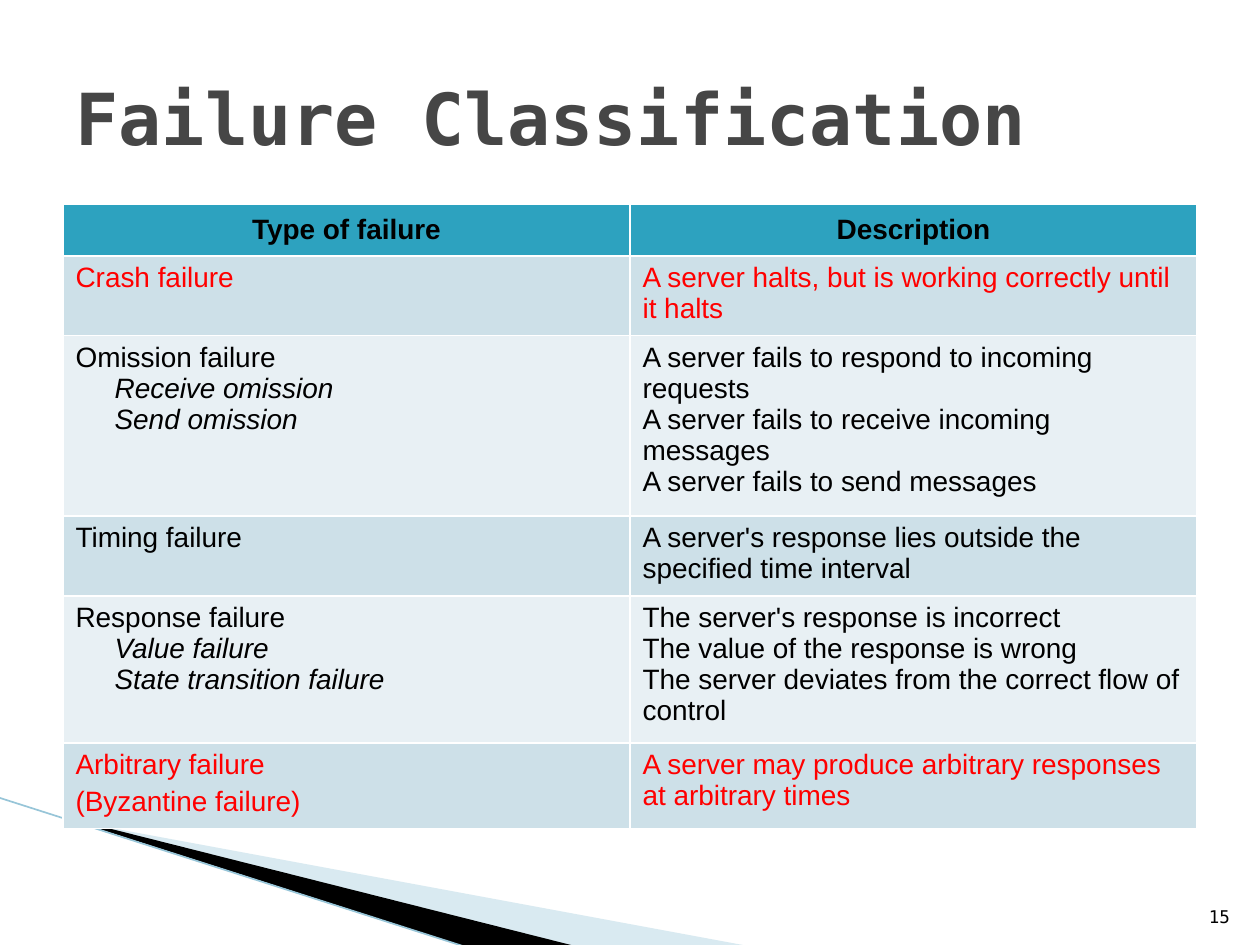
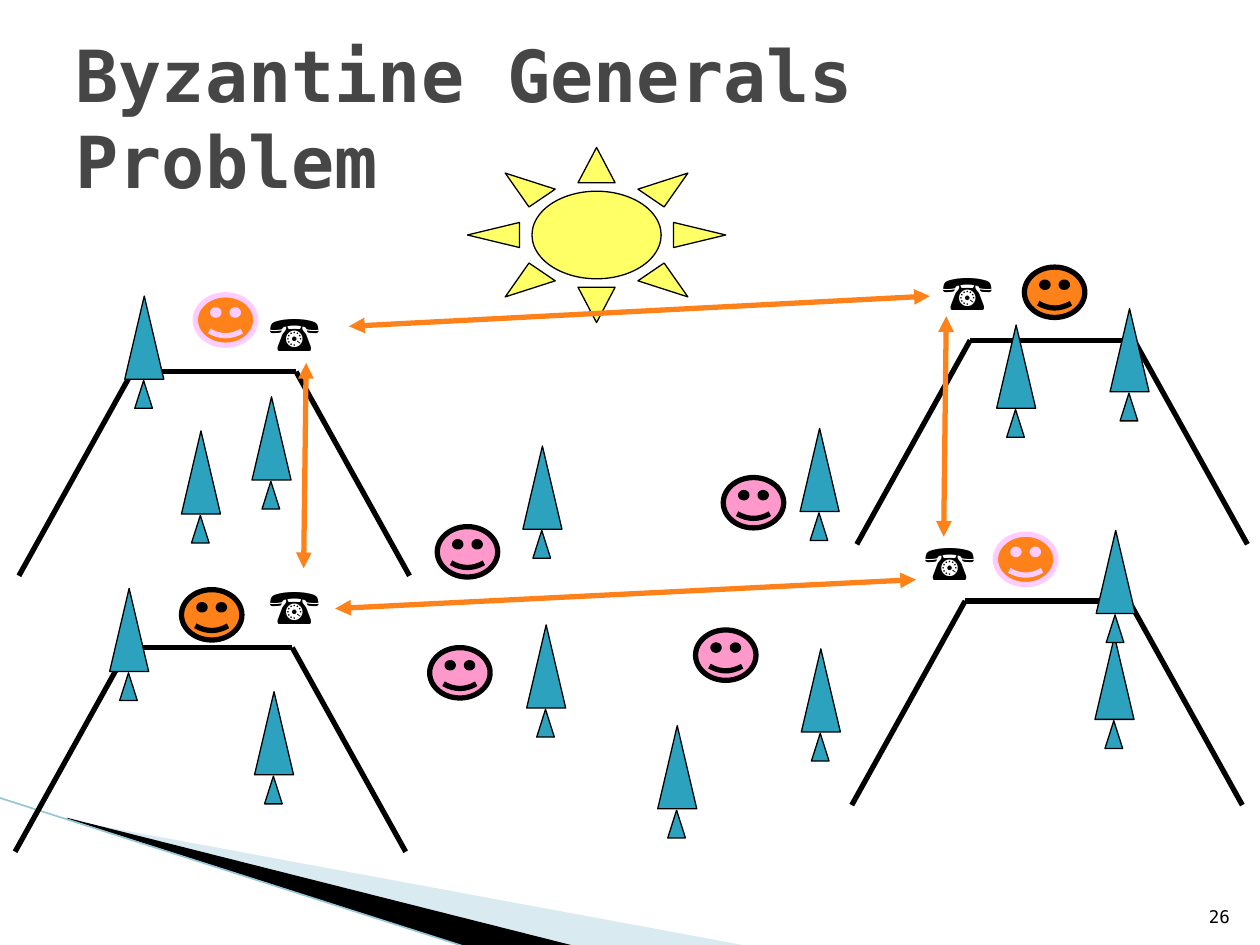
from dataclasses import dataclass

from lxml.etree import SubElement
from pptx import Presentation
from pptx.dml.color import RGBColor
from pptx.enum.shapes import MSO_CONNECTOR, MSO_SHAPE
from pptx.enum.text import MSO_ANCHOR, MSO_AUTO_SIZE, PP_ALIGN
from pptx.oxml.ns import qn
from pptx.util import Inches, Pt


@dataclass(frozen=True)
class Theme:
    black: str = "000000"
    title: str = "464646"
    teal: str = "2DA2BF"
    band_light: str = "A0CBDC"
    band_edge: str = "97C5D8"
    row_dark: str = "CDE0E8"
    row_light: str = "E8F0F4"
    alert: str = "FF0000"
    orange: str = "FF8119"
    pink: str = "FF99CC"
    pale_pink: str = "FFCCFF"
    sun: str = "FFFF66"
    mono: str = "DejaVu Sans Mono"
    sans: str = "Arial"
    serif: str = "Times New Roman"
    title_size: int = 41
    table_size: int = 16
    phone_size: int = 28
    number_size: int = 10
    thick: float = 3
    thin: float = 0.75
    edge: float = 0.95


THEME = Theme()
TITLE_ONLY = 5


@dataclass(frozen=True)
class Failure:
    names: tuple
    descriptions: tuple
    subtypes: tuple = ()
    color: str = THEME.black


FAILURES = (
    Failure(("Crash failure",),
            ("A server halts, but is working correctly until it halts",),
            color=THEME.alert),
    Failure(("Omission failure",),
            ("A server fails to respond to incoming requests",
             "A server fails to receive incoming messages",
             "A server fails to send messages"),
            ("Receive omission", "Send omission")),
    Failure(("Timing failure",),
            ("A server's response lies outside the specified time interval",)),
    Failure(("Response failure",),
            ("The server's response is incorrect",
             "The value of the response is wrong",
             "The server deviates from the correct flow of control"),
            ("Value failure", "State transition failure")),
    Failure(("Arbitrary failure", "(Byzantine failure)"),
            ("A server may produce arbitrary responses at arbitrary times",),
            color=THEME.alert),
)

PEAKS = ((7.66, 4.77), (7.7, 2.7), (1.02, 5.14), (1.05, 2.95))
LOYAL_GENERALS = ((1.44, 4.68), (8.13, 2.12))
TRAITORS = ((1.55, 2.34), (7.9, 4.24))
ENEMIES = ((5.74, 3.79), (3.41, 5.14), (5.52, 5), (3.47, 4.18))
TREES = ((8.81, 2.45), (7.91, 2.58), (6.35, 3.4), (8.69, 5.05), (4.15, 3.54),
         (2.02, 5.49), (8.7, 4.21), (6.36, 5.15), (4.18, 4.96), (0.87, 4.67),
         (1.44, 3.42), (5.22, 5.76), (0.99, 2.35), (2, 3.15))
PHONES = ((2.04, 2.35), (7.38, 2.03), (7.24, 4.17), (2.04, 4.52))
CALLS = (((2.77, 2.59), (7.38, 2.35)), ((2.66, 4.83), (7.27, 4.6)),
         ((2.43, 2.88), (2.41, 4.51)), ((7.51, 2.51), (7.49, 4.26)))


def rgb(color):
    return RGBColor.from_string(color)


def inches(*lengths):
    return [Inches(length) for length in lengths]


def apply(target, **formats):
    for name, value in formats.items():
        setattr(target, name, value)


def format_font(font, face, size, color, **formats):
    apply(font, name=face, size=Pt(size), **formats)
    font.color.rgb = rgb(color)


def paint(shape, fill, line=None, width=0):
    """Fill and outline a shape; without a line colour the outline goes."""
    shape.shadow.inherit = False
    shape.fill.solid()
    shape.fill.fore_color.rgb = rgb(fill)
    if line:
        shape.line.color.rgb = rgb(line)
        shape.line.width = Pt(width)
    else:
        shape.line.fill.background()


def add_preset(shapes, preset, box, fill, line, width):
    paint(shapes.add_shape(preset, *inches(*box)), fill, line, width)


def add_line(shapes, start, end, color, width, arrows=False):
    connector = shapes.add_connector(
        MSO_CONNECTOR.STRAIGHT, *inches(*start, *end))
    connector.line.color.rgb = rgb(color)
    connector.line.width = Pt(width)
    if arrows:
        outline = connector.line._get_or_add_ln()
        for tip in ("a:headEnd", "a:tailEnd"):
            SubElement(outline, qn(tip), type="triangle")
    SubElement(connector.element.spPr, qn("a:effectLst"))


def add_wedge(shapes, points, color, opacity=100):
    start, *rest = [inches(*point) for point in points]
    builder = shapes.build_freeform(*start)
    builder.add_line_segments(rest)
    wedge = builder.convert_to_shape()
    paint(wedge, color)
    if opacity < 100:
        fill_color = wedge.element.spPr.find(".//" + qn("a:srgbClr"))
        SubElement(fill_color, qn("a:alpha"), val=str(opacity * 1000))


def add_corner_band(shapes):
    add_wedge(shapes, ((0.55, 6.51), (5.95, 7.51), (4.56, 7.51), (0.55, 6.5)),
              THEME.band_light, 40)
    add_wedge(shapes, ((0.53, 6.49), (4.57, 7.51), (3.72, 7.52), (0.54, 6.5)),
              THEME.black)
    add_line(shapes, (-0.01, 6.33), (3.71, 7.52), THEME.band_edge, THEME.edge)


def add_text(shapes, box, text, font, align=PP_ALIGN.LEFT, **frame_formats):
    frame = shapes.add_textbox(*inches(*box)).text_frame
    apply(frame, **frame_formats)
    paragraph = frame.paragraphs[0]
    paragraph.alignment = align
    run = paragraph.add_run()
    run.text = text
    format_font(run.font, *font)


def start_slide(deck, heading, number):
    """Add a slide with the shared band, title style and slide number."""
    slide = deck.slides.add_slide(deck.slide_layouts[TITLE_ONLY])
    add_corner_band(slide.shapes)
    title = slide.shapes.title
    left, top, width, height = inches(0.5, 0.3, 9, 1.25)
    apply(title, left=left, top=top, width=width, height=height)
    title.text = heading
    apply(title.text_frame, vertical_anchor=MSO_ANCHOR.MIDDLE,
          auto_size=MSO_AUTO_SIZE.NONE, word_wrap=True)
    paragraph = title.text_frame.paragraphs[0]
    paragraph.alignment = PP_ALIGN.LEFT
    format_font(paragraph.runs[0].font, THEME.mono, THEME.title_size,
                THEME.title, bold=True)
    add_text(slide.shapes, (9.46, 7.01, 0.4, 0.4), str(number),
             (THEME.mono, THEME.number_size, THEME.black), PP_ALIGN.RIGHT,
             vertical_anchor=MSO_ANCHOR.BOTTOM, word_wrap=True)
    return slide.shapes


def fill_cell(cell, fill, anchor=MSO_ANCHOR.TOP):
    cell.fill.solid()
    cell.fill.fore_color.rgb = rgb(fill)
    cell.vertical_anchor = anchor


def add_cell_lines(cell, lines, color, indent=0, gap=0,
                   align=PP_ALIGN.LEFT, **font_formats):
    """Append lines to a cell; gap is the space in points between them."""
    for index, line in enumerate(lines):
        frame = cell.text_frame
        paragraph = (frame.add_paragraph() if frame.text
                     else frame.paragraphs[0])
        paragraph.alignment = align
        if index and gap:
            paragraph.space_before = Pt(gap)
        if indent:
            paragraph._p.get_or_add_pPr().set("marL", str(Inches(indent)))
        run = paragraph.add_run()
        run.text = line
        format_font(run.font, THEME.sans, THEME.table_size, color,
                    **font_formats)


def add_failure_table(shapes):
    row_count = len(FAILURES) + 1
    table = shapes.add_table(
        row_count, 2, *inches(0.5, 1.62, 9, 0.41 * row_count)).table
    for cell, heading in zip(table.rows[0].cells,
                             ("Type of failure", "Description")):
        fill_cell(cell, THEME.teal, MSO_ANCHOR.MIDDLE)
        add_cell_lines(cell, [heading], THEME.black, align=PP_ALIGN.CENTER,
                       bold=True)
    for row, failure in enumerate(FAILURES, start=1):
        kind, description = table.rows[row].cells
        for cell in (kind, description):
            fill_cell(cell, THEME.row_dark if row % 2 else THEME.row_light)
        add_cell_lines(kind, failure.names, failure.color, gap=3.2)
        add_cell_lines(kind, failure.subtypes, failure.color, indent=0.31,
                       italic=True)
        add_cell_lines(description, failure.descriptions, failure.color)


def add_mountain(shapes, x, y):
    """Draw a ridge from (x, y) with a slope falling away on each side."""
    ridge, run, drop = 1.3, 0.9, 1.62
    mountain = shapes.add_group_shape().shapes
    for start, end in (((x, y), (x + ridge, y)),
                       ((x + ridge, y), (x + ridge + run, y + drop)),
                       ((x, y), (x - run, y + drop))):
        add_line(mountain, start, end, THEME.black, THEME.thick)


def add_tree(shapes, x, y):
    tree = shapes.add_group_shape().shapes
    for box in ((x, y, 0.31, 0.66), (x + 0.08, y + 0.67, 0.14, 0.22)):
        add_preset(tree, MSO_SHAPE.ISOSCELES_TRIANGLE, box, THEME.teal,
                   THEME.black, THEME.thin)


def add_people(shapes, places, skin, outline):
    for x, y in places:
        add_preset(shapes, MSO_SHAPE.SMILEY_FACE, (x, y, 0.48, 0.4), skin,
                   outline, THEME.thick)


def add_battlefield(shapes):
    for peak in PEAKS:
        add_mountain(shapes, *peak)
    add_people(shapes, LOYAL_GENERALS, THEME.orange, THEME.black)
    add_people(shapes, TRAITORS, THEME.orange, THEME.pale_pink)
    add_people(shapes, ENEMIES, THEME.pink, THEME.black)
    add_preset(shapes, MSO_SHAPE.SUN, (3.71, 1.17, 2.05, 1.39), THEME.sun,
               THEME.black, THEME.thin)
    for place in TREES:
        add_tree(shapes, *place)
    for x, y in PHONES:
        add_text(shapes, (x, y, 0.62, 0.57), "☎",
                 (THEME.serif, THEME.phone_size, THEME.black),
                 word_wrap=False, auto_size=MSO_AUTO_SIZE.SHAPE_TO_FIT_TEXT)
    for start, end in CALLS:
        add_line(shapes, start, end, THEME.orange, THEME.thick, arrows=True)


def main():
    deck = Presentation()
    deck.slide_width, deck.slide_height = inches(10, 7.5)
    add_failure_table(start_slide(deck, "Failure Classification", 15))
    add_battlefield(start_slide(deck, "Byzantine Generals Problem", 26))
    deck.save("out.pptx")


if __name__ == "__main__":
    main()
